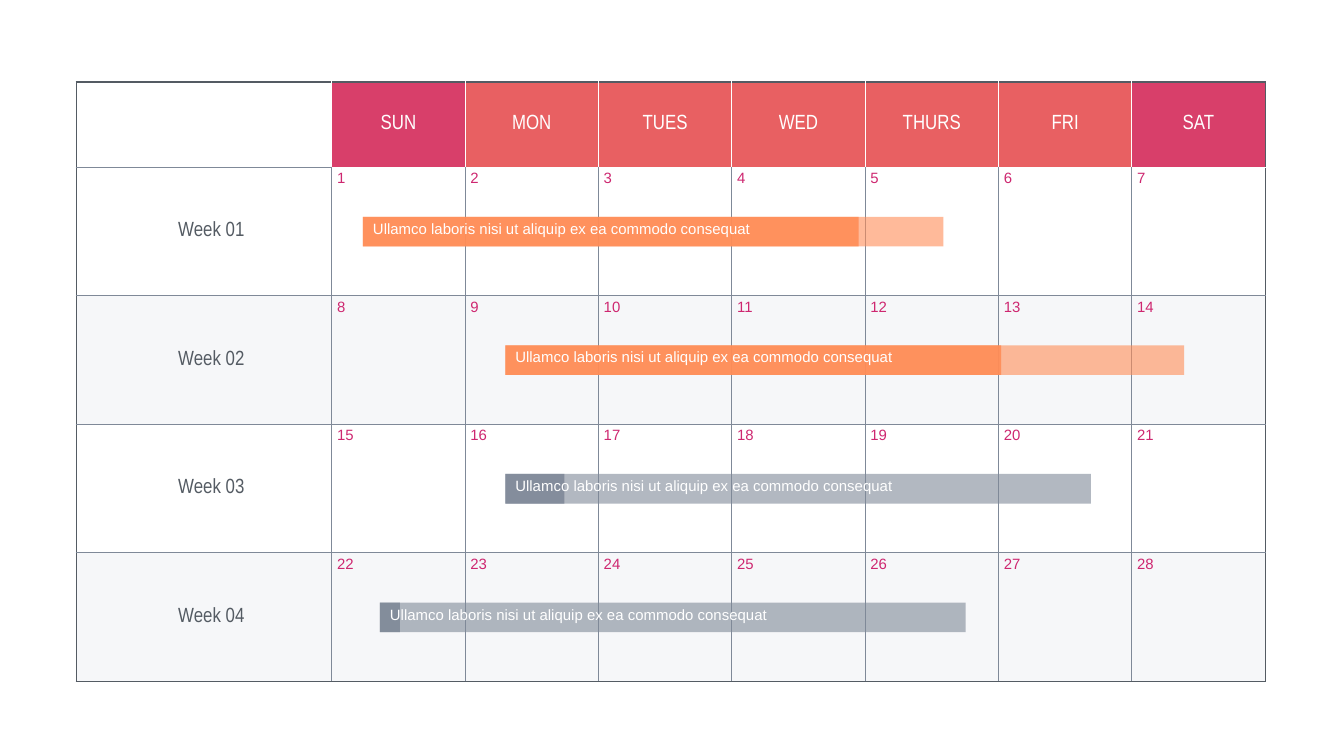
"""Build a four-week calendar slide with task progress bars."""
from lxml import etree
from pptx import Presentation
from pptx import util as u
from pptx.dml.color import RGBColor
from pptx.enum import shapes, text
from pptx.oxml.ns import qn

DAYS = ["SUN", "MON", "TUES", "WED", "THURS", "FRI", "SAT"]
WEEKS = ["Week 01", "Week 02", "Week 03", "Week 04"]
TASK = "Ullamco laboris nisi ut aliquip ex ea commodo consequat"
TASKS = [
    {"left": 6.86, "total": 10.97, "done": 9.37, "color": "FF8D57"},
    {"left": 9.55, "total": 12.83, "done": 9.37, "color": "FF8D57"},
    {"left": 9.55, "total": 11.07, "done": 1.12, "color": "7F8998"},
    {"left": 7.18, "total": 11.07, "done": 0.38, "color": "7F8998"},
]
WHITE, DARK, GRAY = "FFFFFF", "545B63", "7F8998"
WEEKEND, WEEKDAY, DATE, BAND = "D83F6A", "E86062", "CE2770", "EEF0F4"
LEFT, TOP = 1.44, 1.55
LABEL_WIDTH, DAY_WIDTH = 4.83, 2.52
HEADER_HEIGHT, WEEK_HEIGHT = 1.61, 2.43
BAR_OFFSET, BAR_HEIGHT = 0.94, 0.56


def paint(fill, color, opacity=100):
    fill.solid()
    fill.fore_color.rgb = RGBColor.from_string(color)
    if opacity < 100:
        node = fill._xPr.find(qn("a:solidFill")).find(qn("a:srgbClr"))
        etree.SubElement(node, qn("a:alpha"), val=str(opacity * 1000))


def write(para, words, size, font, color):
    span = para.add_run()
    span.text = words
    span.font.size = u.Pt(size)
    span.font.name = font
    span.font.color.rgb = RGBColor.from_string(color)


def set_margins(owner, left=0.1):
    owner.margin_left, owner.margin_right = u.Cm(left), u.Cm(0.1)
    owner.margin_top = owner.margin_bottom = u.Cm(0.05)


def set_borders(cell, colors):
    properties = cell._tc.get_or_add_tcPr()
    for place, (side, color) in enumerate(zip("LRTB", colors)):
        line = etree.Element(qn(f"a:ln{side}"), w=str(u.Pt(0.75)))
        fill = etree.SubElement(line, qn("a:solidFill"))
        etree.SubElement(fill, qn("a:srgbClr"), val=color)
        properties.insert(place, line)


def border_colors(row, column):
    inner = WHITE if row == 0 else GRAY
    return (
        DARK if column == 0 else inner,
        DARK if column == len(DAYS) else inner,
        DARK if row == 0 else WHITE if row == 1 and column else GRAY,
        DARK if row == len(WEEKS) else WHITE if row == 0 and column else GRAY,
    )


def fill_cell(cell, row, column):
    set_margins(cell, 0.38 if row and not column else 0.1)
    para = cell.text_frame.paragraphs[0]
    if row and column:
        write(para, str((row - 1) * len(DAYS) + column), 8, "Arial", DATE)
    else:
        cell.vertical_anchor = text.MSO_ANCHOR.MIDDLE
        para.alignment = text.PP_ALIGN.CENTER
        if row:
            write(para, WEEKS[row - 1], 11, "Arial Narrow", DARK)
        elif column:
            write(para, DAYS[column - 1], 11, "Arial Narrow", WHITE)
    if row == 0 and column:
        paint(cell.fill, WEEKEND if column in (1, len(DAYS)) else WEEKDAY)
    elif row and row % 2 == 0:
        paint(cell.fill, BAND, 50)
    else:
        cell.fill.background()
    set_borders(cell, border_colors(row, column))


def add_calendar(page):
    widths = [LABEL_WIDTH] + [DAY_WIDTH] * len(DAYS)
    heights = [HEADER_HEIGHT] + [WEEK_HEIGHT] * len(WEEKS)
    frame = page.shapes.add_table(
        len(heights), len(widths), u.Cm(LEFT), u.Cm(TOP),
        u.Cm(sum(widths)), u.Cm(sum(heights)))
    table = frame.table
    table.first_row = table.horz_banding = False
    for column, width in zip(table.columns, widths):
        column.width = u.Cm(width)
    for row, height in zip(table.rows, heights):
        row.height = u.Cm(height)
    for row in range(len(heights)):
        for column in range(len(widths)):
            fill_cell(table.cell(row, column), row, column)


def add_task(page, week, task):
    group = page.shapes.add_group_shape()
    top = TOP + HEADER_HEIGHT + week * WEEK_HEIGHT + BAR_OFFSET
    for width, opacity in ((task["total"], 60), (task["done"], 90)):
        bar = group.shapes.add_shape(
            shapes.MSO_SHAPE.RECTANGLE, u.Cm(task["left"]), u.Cm(top),
            u.Cm(width), u.Cm(BAR_HEIGHT))
        bar.shadow.inherit = False
        bar.line.fill.background()
        paint(bar.fill, task["color"], opacity)
    box = group.shapes.add_textbox(
        u.Cm(task["left"] + 0.09), u.Cm(top), u.Cm(7.9), u.Cm(0.46))
    box.text_frame.word_wrap = True
    set_margins(box.text_frame)
    write(box.text_frame.paragraphs[0], TASK, 8, "Arial", WHITE)


def main():
    deck = Presentation()
    deck.slide_width, deck.slide_height = u.Cm(25.4), u.Cm(14.29)
    page = deck.slides.add_slide(deck.slide_layouts[6])
    add_calendar(page)
    for week, task in enumerate(TASKS):
        add_task(page, week, task)
    deck.save("out.pptx")


if __name__ == "__main__":
    main()
